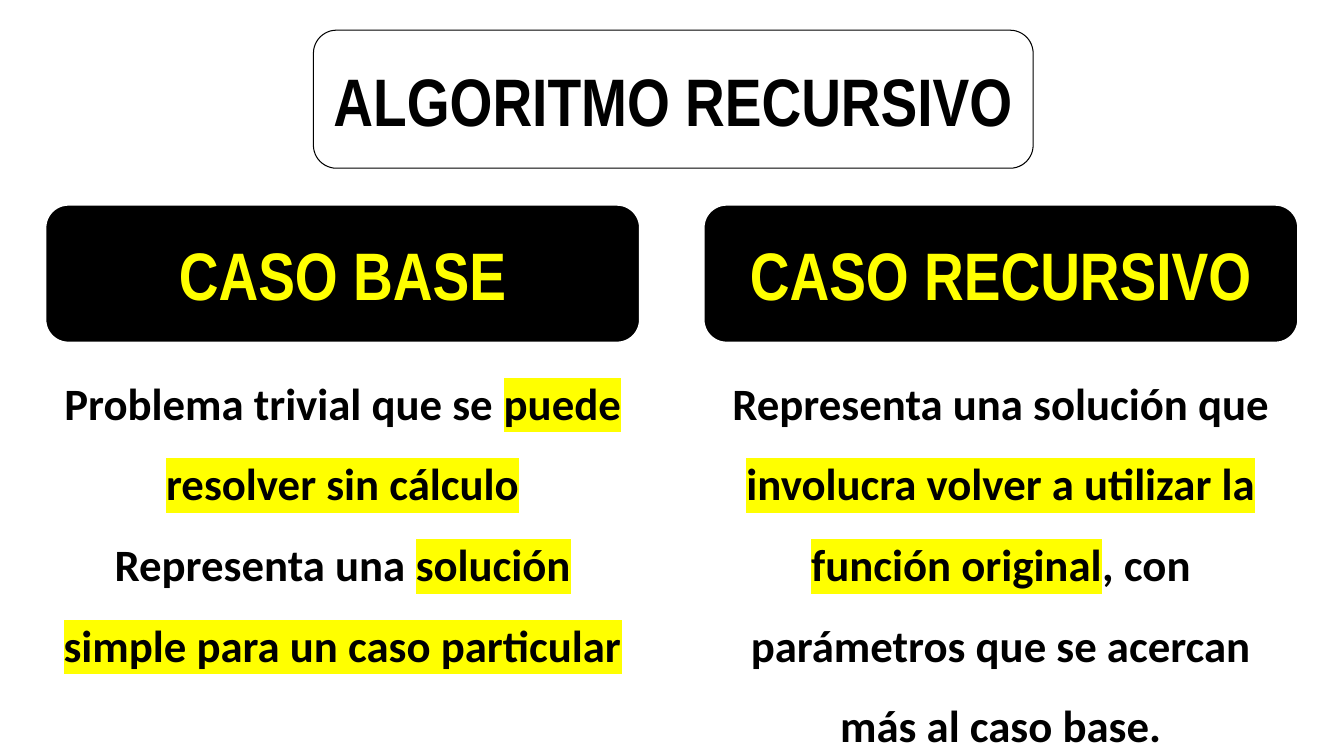
"""Builds a slide that contrasts the base and recursive cases of an algorithm."""
from lxml import etree
from pptx import Presentation
from pptx.dml.color import RGBColor
from pptx.enum.shapes import MSO_SHAPE
from pptx.enum.text import MSO_ANCHOR, PP_ALIGN
from pptx.oxml.ns import qn
from pptx.util import Pt

ROUNDED = MSO_SHAPE.ROUNDED_RECTANGLE
MIDDLE = MSO_ANCHOR.MIDDLE
CENTER = PP_ALIGN.CENTER
BLACK = RGBColor(0, 0, 0)
WHITE = RGBColor(255, 255, 255)
YELLOW = RGBColor(255, 255, 0)

COLUMN_LEFT = 32.4
COLUMN_STEP = 470.16
COLUMN_WIDTH = 424.8
HEADING_TOP = 146.2
HEADING_HEIGHT = 98.6
BODY_TOP = 245.5

COLUMNS = [
    ("CASO BASE", 234, [
        [("Problema trivial que se ", False), ("puede", True)],
        [("resolver sin cálculo", True)],
        [("Representa una ", False), ("solución", True)],
        [("simple para un caso particular", True)],
    ]),
    ("CASO RECURSIVO", 292.3, [
        [("Representa una solución que ", False),
         ("involucra volver a utilizar la", True)],
        [("función original", True),
         (", con parámetros que se acercan más al caso base.", False)],
    ]),
]


def highlight(span, color):
    """Mark a run with a background colour."""
    mark = etree.SubElement(span.font._element, qn("a:highlight"))
    etree.SubElement(mark, qn("a:srgbClr"), val=str(color))


def style_span(span, font_name, size, color, mark=None):
    """Format a bold run, with an optional highlight."""
    span.font.size = Pt(size)
    span.font.bold = True
    span.font.color.rgb = color
    if mark is not None:
        highlight(span, mark)
    span.font.name = font_name


def add_heading(page, text, left, top, width, height, fill, line, weight, color):
    """Add a rounded box with a centred heading."""
    box = page.shapes.add_shape(ROUNDED, Pt(left), Pt(top), Pt(width), Pt(height))
    box.shadow.inherit = False
    if fill is None:
        box.fill.background()
    else:
        box.fill.solid()
        box.fill.fore_color.rgb = fill
    box.line.color.rgb = line
    box.line.width = Pt(weight)
    frame = box.text_frame
    frame.word_wrap = True
    frame.vertical_anchor = MIDDLE
    frame.text = text
    para = frame.paragraphs[0]
    para.alignment = CENTER
    style_span(para.runs[0], "Arial Narrow", 48, color)


def add_body(page, paragraphs, left, height):
    """Add a centred text box whose key phrases are highlighted."""
    box = page.shapes.add_textbox(Pt(left), Pt(BODY_TOP), Pt(COLUMN_WIDTH), Pt(height))
    frame = box.text_frame
    frame.word_wrap = True
    for index, pieces in enumerate(paragraphs):
        para = frame.add_paragraph() if index else frame.paragraphs[0]
        para.alignment = CENTER
        para.line_spacing = 1.5
        for text, marked in pieces:
            span = para.add_run()
            span.text = text
            style_span(span, "Calibri", 32, BLACK, YELLOW if marked else None)


def main():
    """Build and save the deck."""
    deck = Presentation()
    deck.slide_width = Pt(960)
    deck.slide_height = Pt(540)
    page = deck.slides.add_slide(deck.slide_layouts[6])
    add_heading(page, "ALGORITMO RECURSIVO", 223.9, 21.6, 514.1, 98.6,
                None, BLACK, 0.75, BLACK)
    for index, (title, height, paragraphs) in enumerate(COLUMNS):
        left = COLUMN_LEFT + index * COLUMN_STEP
        add_heading(page, title, left, HEADING_TOP, COLUMN_WIDTH, HEADING_HEIGHT,
                    BLACK, WHITE, 1.5, YELLOW)
        add_body(page, paragraphs, left, height)
    deck.save("out.pptx")


if __name__ == "__main__":
    main()
